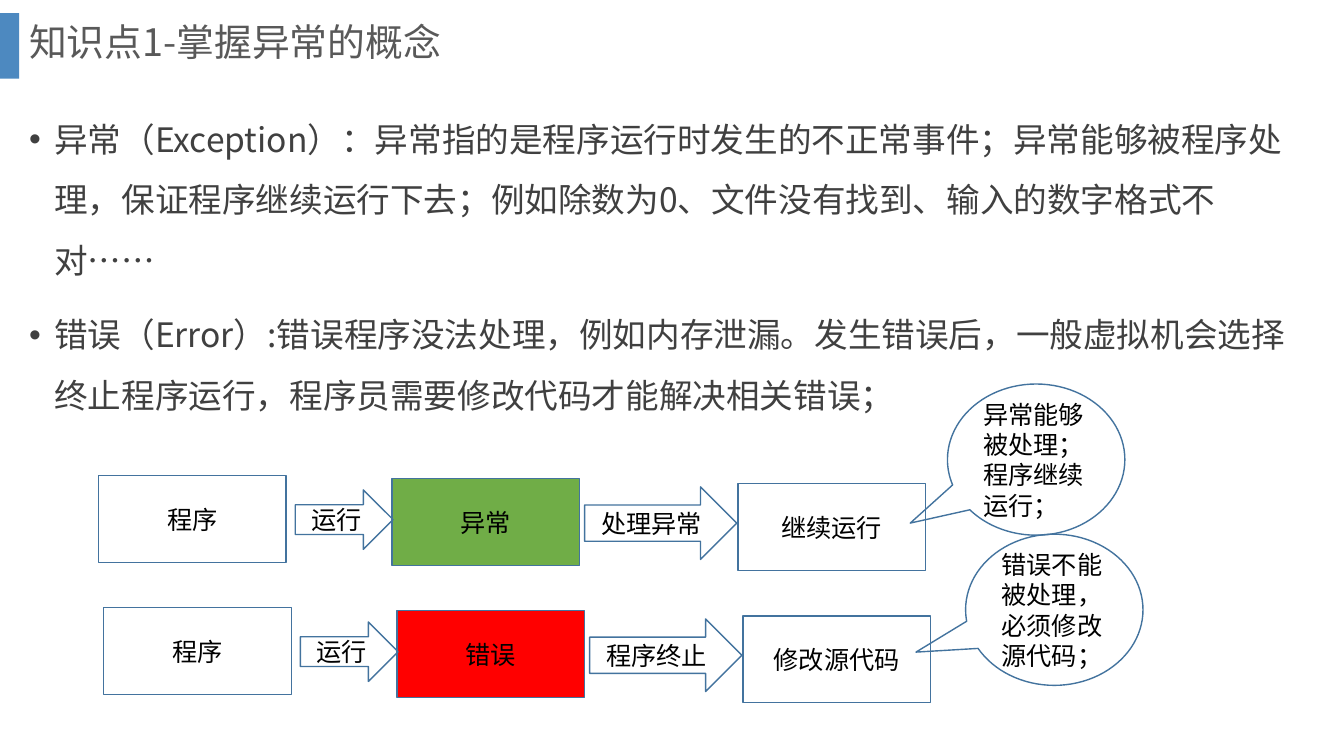
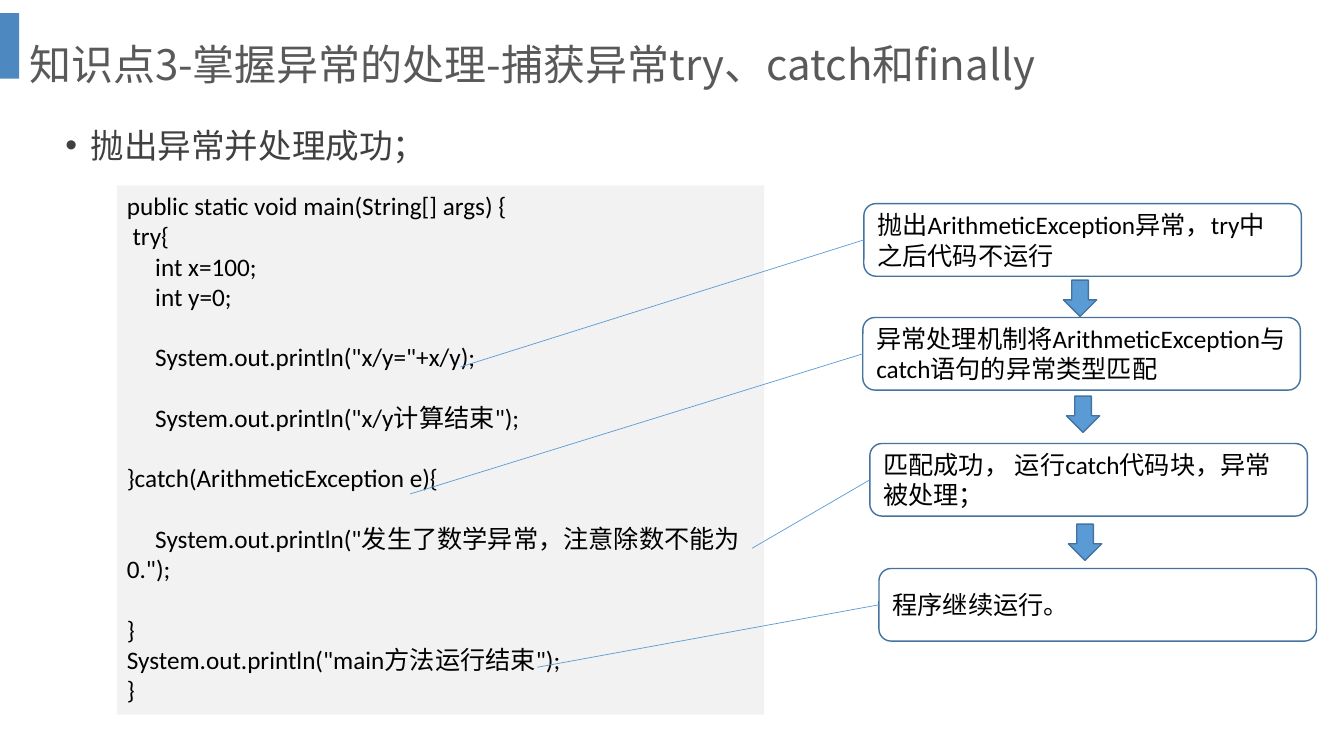
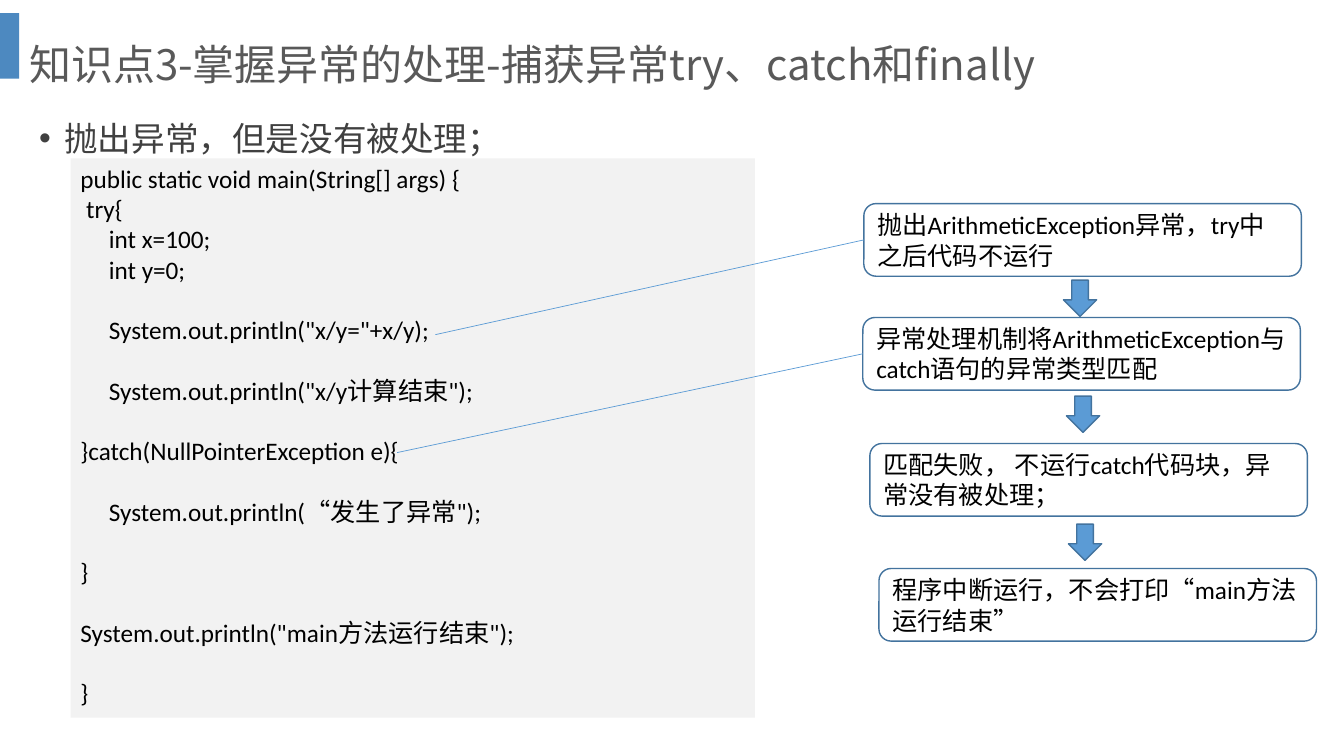
from lxml import etree
from pptx import Presentation
from pptx.dml.color import RGBColor
from pptx.enum.shapes import MSO_CONNECTOR, MSO_SHAPE
from pptx.enum.text import MSO_ANCHOR, MSO_AUTO_SIZE, PP_ALIGN
from pptx.oxml.ns import qn
from pptx.util import Inches, Pt

# One grid cell is a tenth of an inch: 133.33 columns by 75 rows.
CELL = Inches(0.1)
COLUMNS, ROWS = 133.33, 75

COLORS = {
    "bar": "2E75B6", "title": "595959", "body": "404040", "black": "000000",
    "outline": "43739E", "accent": "5B9BD5", "code": "F2F2F2",
    "exception": "70AD47", "error": "FF0000",
}
CJK_FONT = "Noto Sans CJK SC"
FORMATS = {
    "chapter": {"name": CJK_FONT, "size": Pt(27), "color": "title"},
    "title": {"name": CJK_FONT, "size": Pt(30), "color": "title"},
    "body": {"name": CJK_FONT, "size": Pt(24), "color": "body"},
    "label": {"name": "Calibri", "size": Pt(18), "color": "black"},
}
CODE_LINE = Pt(21.6)
TRY_CATCH_TITLE = "知识点3-掌握异常的处理-捕获异常try、catch和finally"

TRY_PART = """public static void main(String[] args) {
 try{
     int x=100;
     int y=0;

     System.out.println("x/y="+x/y);

     System.out.println("x/y计算结束");

"""
CAUGHT_CODE = TRY_PART + """}catch(ArithmeticException e){

     System.out.println("发生了数学异常，注意除数不能为0.");

}
System.out.println("main方法运行结束");
}"""
UNCAUGHT_CODE = TRY_PART + """}catch(NullPointerException e){

     System.out.println(“发生了异常");

}

System.out.println("main方法运行结束");

}"""
FIRST_STEPS = [
    "抛出ArithmeticException异常，try中之后代码不运行",
    "异常处理机制将ArithmeticException与catch语句的异常类型匹配",
]


def rgb(name):
    return RGBColor.from_string(COLORS[name])


def cells(*lengths):
    return [round(length * CELL) for length in lengths]


def write(para, text, style):
    span = para.add_run()
    span.text = text
    for key, value in FORMATS[style].items():
        if key == "color":
            span.font.color.rgb = rgb(value)
        else:
            setattr(span.font, key, value)
    east_asian = etree.SubElement(span.font._element, qn("a:ea"))
    east_asian.set("typeface", CJK_FONT)


def add_paragraph(frame, index):
    return frame.add_paragraph() if index else frame.paragraphs[0]


def add_block(page, kind, box, fill=None, line="outline", text="", align=PP_ALIGN.CENTER):
    block = page.shapes.add_shape(kind, *cells(*box))
    block.shadow.inherit = False
    if fill:
        block.fill.solid()
        block.fill.fore_color.rgb = rgb(fill)
    else:
        block.fill.background()
    if line:
        block.line.color.rgb = rgb(line)
        block.line.width = Pt(1)
    else:
        block.line.fill.background()
    frame = block.text_frame
    frame.word_wrap = True
    frame.vertical_anchor = MSO_ANCHOR.MIDDLE
    if text:
        frame.paragraphs[0].alignment = align
        write(frame.paragraphs[0], text, "label")
    return block


def add_page(deck, title, title_height, style):
    """Add a blank page with the side bar and the title band."""
    page = deck.slides.add_slide(deck.slide_layouts[6])
    bar = add_block(page, MSO_SHAPE.RECTANGLE, (0, 1.3, 1.9, 6.5), "bar", None)
    color = bar.fill._xPr.find(".//" + qn("a:srgbClr"))
    etree.SubElement(color, qn("a:alpha")).set("val", "85000")
    frame = page.shapes.add_textbox(*cells(1.9, 0, 126.6, title_height)).text_frame
    frame.word_wrap = True
    frame.vertical_anchor = MSO_ANCHOR.MIDDLE
    frame.paragraphs[0].line_spacing = 0.9
    write(frame.paragraphs[0], title, style)
    return page


def add_bullets(page, box, items):
    frame = page.shapes.add_textbox(*cells(*box)).text_frame
    frame.word_wrap = True
    for index, item in enumerate(items):
        para = add_paragraph(frame, index)
        para.line_spacing = 1.5
        if index:
            para.space_before = Pt(10)
        properties = para._p.get_or_add_pPr()
        properties.set("marL", str(Inches(0.25)))
        properties.set("indent", str(-Inches(0.25)))
        etree.SubElement(properties, qn("a:buFont")).set("typeface", "Arial")
        etree.SubElement(properties, qn("a:buChar")).set("char", "•")
        write(para, item, "body")


def add_flow(page, left, top, labels, fill, remark, remark_offset, tail):
    """Draw program, event and outcome with arrows between, and a remark on the outcome."""
    start, run, event, action, outcome = labels
    boxes = [(0, 0, start, None), (29.1, 0.3, event, fill), (63.4, 0.8, outcome, None)]
    arrows = [(19.5, 1.4, 9.7, 5.9, run), (48.2, 1.1, 15.1, 7.2, action)]
    for dx, dy, text, color in boxes:
        add_block(page, MSO_SHAPE.RECTANGLE, (left + dx, top + dy, 18.6, 8.6), color, text=text)
    for dx, dy, width, height, text in arrows:
        add_block(page, MSO_SHAPE.RIGHT_ARROW, (left + dx, top + dy, width, height), text=text)
    dx, dy = remark_offset
    callout = add_block(page, MSO_SHAPE.OVAL_CALLOUT, (left + dx, top + dy, 17.6, 15),
                        text=remark, align=PP_ALIGN.LEFT)
    for index, value in enumerate(tail):
        callout.adjustments[index] = value


def add_code(page, box, code):
    """Write code lines; an empty line becomes space before the next one."""
    block = add_block(page, MSO_SHAPE.RECTANGLE, box, "code", None)
    frame = block.text_frame
    frame.vertical_anchor = MSO_ANCHOR.TOP
    frame.auto_size = MSO_AUTO_SIZE.SHAPE_TO_FIT_TEXT
    after_gap = False
    for index, line in enumerate(code.split("\n")):
        if line:
            para = add_paragraph(frame, index)
            para.alignment = PP_ALIGN.LEFT
            if after_gap:
                para.space_before = CODE_LINE
            write(para, line, "label")
        after_gap = not line


def add_steps(page, left, top, steps, code_points):
    """Stack the steps with arrows between, each tied to its point in the code."""
    step_offsets = [(0.1, 0), (0, 11.3), (0.7, 23.8), (1.6, 36.2)]
    arrow_offsets = [(19.9, 7.6), (20.2, 19.1), (20.4, 31.8)]
    boxes = [
        add_block(page, MSO_SHAPE.ROUNDED_RECTANGLE, (left + dx, top + dy, 43.4, 7.2),
                  text=text, align=PP_ALIGN.LEFT)
        for (dx, dy), text in zip(step_offsets, steps)
    ]
    for box, point in zip(boxes, code_points):
        start = cells(*point)
        link = page.shapes.add_connector(MSO_CONNECTOR.STRAIGHT, *start, *start)
        link.end_connect(box, 1)
        link.line.color.rgb = rgb("accent")
        link.line.width = Pt(0.5)
        etree.SubElement(link._element.spPr, qn("a:effectLst"))
    for dx, dy in arrow_offsets:
        add_block(page, MSO_SHAPE.DOWN_ARROW, (left + dx, top + dy, 3.3, 3.6), "accent")


def build_concept_page(deck):
    page = add_page(deck, "知识点1-掌握异常的概念", 8.8, "chapter")
    add_bullets(page, (1.9, 9.3, 129.1, 59.9), [
        "异常（Exception）：异常指的是程序运行时发生的不正常事件；异常能够被程序处理，"
        "保证程序继续运行下去；例如除数为0、文件没有找到、输入的数字格式不对……",
        "错误（Error）:错误程序没法处理，例如内存泄漏。发生错误后，一般虚拟机会选择终止程序运行，"
        "程序员需要修改代码才能解决相关错误；",
    ])
    add_flow(page, 9.8, 47.2, ["程序", "运行", "异常", "处理异常", "继续运行"], "exception",
             "异常能够被处理；程序继续运行；", (84.2, -9.1), (-0.71, 0.42))
    add_flow(page, 10.3, 60.3, ["程序", "运行", "错误", "程序终止", "修改源代码"], "error",
             "错误不能被处理，必须修改源代码；", (85.5, -7.3), (-0.78, 0.28))


def build_code_page(deck, bullet, bullet_at, code, code_box, steps, code_points):
    page = add_page(deck, TRY_CATCH_TITLE, 13.2, "title")
    add_bullets(page, (*bullet_at, 120.5, 10.3), [bullet])
    add_code(page, code_box, code)
    add_steps(page, 85.6, 20.2, FIRST_STEPS + steps, code_points)


def main():
    deck = Presentation()
    deck.slide_width, deck.slide_height = cells(COLUMNS, ROWS)
    build_concept_page(deck)
    build_code_page(
        deck, "抛出异常并处理成功；", (5.5, 9.9), CAUGHT_CODE, (11.6, 18.4, 64.2, 52.5),
        ["匹配成功， 运行catch代码块，异常被处理；", "程序继续运行。"],
        [(45.7, 36.4), (40.7, 49), (74.6, 54.4), (53.3, 66.2)])
    build_code_page(
        deck, "抛出异常，但是没有被处理；", (2.9, 9.2), UNCAUGHT_CODE, (7, 15.7, 67.9, 55.5),
        ["匹配失败， 不运行catch代码块，异常没有被处理；",
         "程序中断运行，不会打印“main方法运行结束”"],
        [(43.2, 33.2), (39.4, 44.9)])
    deck.save("out.pptx")


if __name__ == "__main__":
    main()
